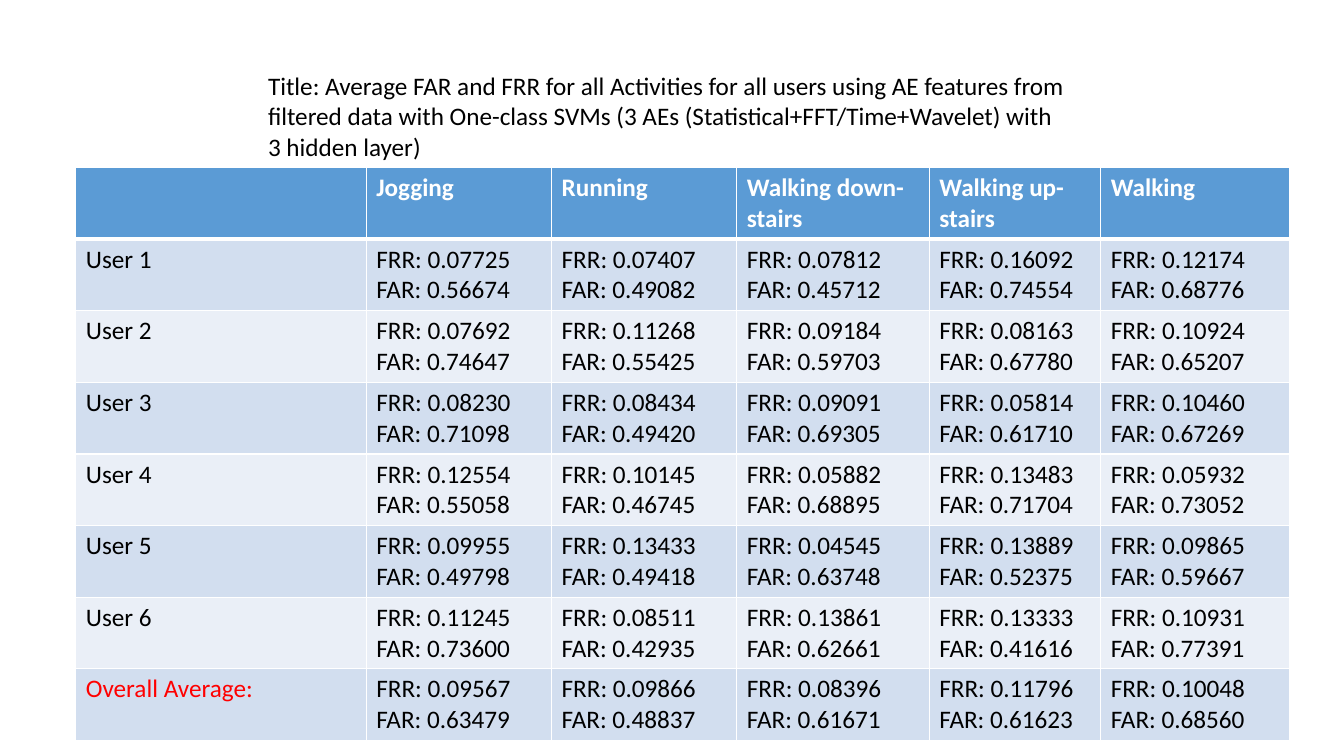
"""Build a slide with a table of FRR and FAR rates per user and activity."""
from dataclasses import dataclass

from lxml import etree
from pptx import Presentation
from pptx.dml.color import RGBColor
from pptx.enum.text import MSO_ANCHOR, MSO_AUTO_SIZE, PP_ALIGN
from pptx.oxml.ns import qn
from pptx.util import Cm, Pt

TOP = MSO_ANCHOR.TOP
LEFT = PP_ALIGN.LEFT
FIXED = MSO_AUTO_SIZE.NONE


@dataclass(frozen=True)
class Theme:
    font: str = "Calibri"
    size: int = 18
    white: str = "FFFFFF"
    black: str = "000000"
    red: str = "FF0000"
    head: str = "5B9BD5"
    odd: str = "D2DEEF"
    even: str = "EAEFF7"
    thin: int = 1
    thick: int = 3


THEME = Theme()
HEADS = ["", "Jogging", "Running", "Walking down-stairs", "Walking up-stairs", "Walking"]
RATES = {
    "User 1": ["0.07725 0.56674", "0.07407 0.49082", "0.07812 0.45712",
               "0.16092 0.74554", "0.12174 0.68776"],
    "User 2": ["0.07692 0.74647", "0.11268 0.55425", "0.09184 0.59703",
               "0.08163 0.67780", "0.10924 0.65207"],
    "User 3": ["0.08230 0.71098", "0.08434 0.49420", "0.09091 0.69305",
               "0.05814 0.61710", "0.10460 0.67269"],
    "User 4": ["0.12554 0.55058", "0.10145 0.46745", "0.05882 0.68895",
               "0.13483 0.71704", "0.05932 0.73052"],
    "User 5": ["0.09955 0.49798", "0.13433 0.49418", "0.04545 0.63748",
               "0.13889 0.52375", "0.09865 0.59667"],
    "User 6": ["0.11245 0.73600", "0.08511 0.42935", "0.13861 0.62661",
               "0.13333 0.41616", "0.10931 0.77391"],
    "Overall Average:": ["0.09567 0.63479", "0.09866 0.48837", "0.08396 0.61671",
                         "0.11796 0.61623", "0.10048 0.68560"],
}
WIDTHS = [7.32, 4.67, 4.67, 4.85, 4.32, 4.75]


def style(frame, color, bold=False):
    """Give every run in a text frame the same look."""
    for para in frame.paragraphs:
        para.alignment = LEFT
        for run in para.runs:
            run.font.name = THEME.font
            run.font.size = Pt(THEME.size)
            run.font.bold = bold
            run.font.color.rgb = RGBColor.from_string(color)


def edge(cell, row):
    """Draw white borders, thick between the header and the body."""
    props = cell._tc.get_or_add_tcPr()
    for side in "LRTB":
        heavy = (row, side) in [(0, "B"), (1, "T")]
        width = Pt(THEME.thick if heavy else THEME.thin)
        line = etree.SubElement(props, qn(f"a:ln{side}"), w=str(width))
        fill = etree.SubElement(line, qn("a:solidFill"))
        etree.SubElement(fill, qn("a:srgbClr"), val=THEME.white)


deck = Presentation()
deck.slide_width, deck.slide_height = Cm(33.87), Cm(19.05)
slide = deck.slides.add_slide(deck.slide_layouts[5])

title = slide.shapes.title
title.left, title.top, title.width, title.height = Cm(6.5), Cm(1.65), Cm(20.65), Cm(2.57)
frame = title.text_frame
frame.text = (
    "Title: Average FAR and FRR for all Activities for all users using AE features "
    "from filtered data with One-class SVMs (3 AEs (Statistical+FFT/Time+Wavelet) "
    "with 3 hidden layer)"
)
frame.word_wrap = True
frame.auto_size = FIXED
frame.vertical_anchor = TOP
style(frame, THEME.black)

rows = [HEADS]
for user, pairs in RATES.items():
    rows.append([user] + ["FRR: {}\nFAR: {}".format(*pair.split()) for pair in pairs])

table = slide.shapes.add_table(
    len(rows), len(HEADS), Cm(1.91), Cm(4.22), Cm(sum(WIDTHS)), Cm(1.7 * len(rows))
).table
for col, width in zip(table.columns, WIDTHS):
    col.width = Cm(width)

for r, texts in enumerate(rows):
    back = THEME.head if r == 0 else THEME.odd if r % 2 else THEME.even
    for c, text in enumerate(texts):
        cell = table.cell(r, c)
        cell.text_frame.text = text
        total = r == len(rows) - 1 and c == 0
        color = THEME.white if r == 0 else THEME.red if total else THEME.black
        style(cell.text_frame, color, bold=r == 0)
        edge(cell, r)
        cell.fill.solid()
        cell.fill.fore_color.rgb = RGBColor.from_string(back)

deck.save("out.pptx")
